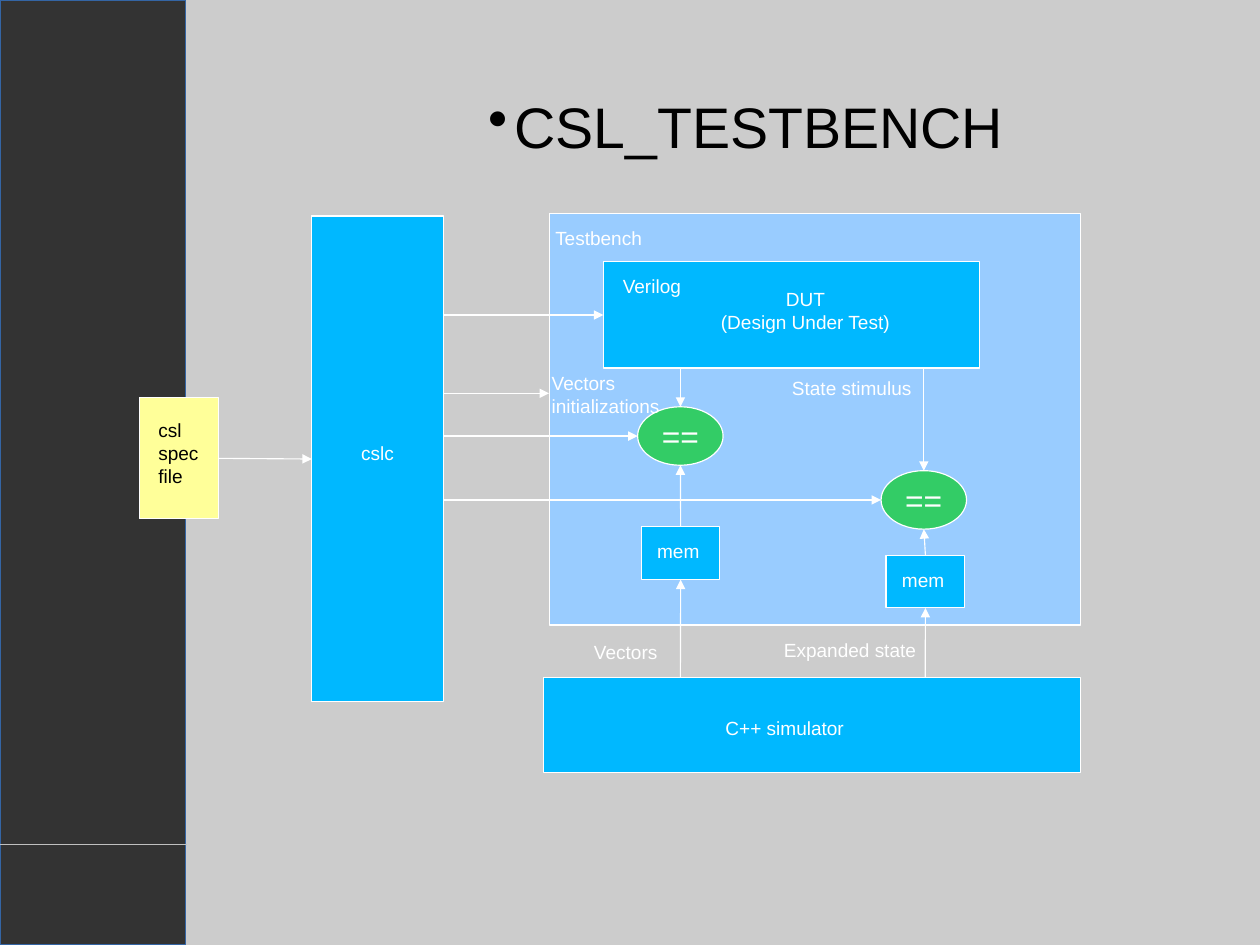
from dataclasses import dataclass

from lxml.etree import SubElement
from pptx import Presentation
from pptx.dml.color import RGBColor
from pptx.enum.shapes import MSO_CONNECTOR, MSO_SHAPE
from pptx.enum.text import MSO_ANCHOR, PP_ALIGN
from pptx.oxml.ns import qn
from pptx.util import Cm, Pt


@dataclass(frozen=True)
class Theme:
    font: str = "Arial"
    back: str = "CCCCCC"
    side: str = "333333"
    edge: str = "3465A4"
    rule: str = "C0C0C0"
    bench: str = "99CCFF"
    block: str = "00B8FF"
    file: str = "FFFF99"
    check: str = "33CC66"
    white: str = "FFFFFF"
    black: str = "000000"
    small: int = 12
    sign: int = 20
    title: int = 36


theme = Theme()


def write(shape, text, size=theme.small, color=theme.white, align=PP_ALIGN.LEFT,
          anchor=MSO_ANCHOR.TOP, inset=(0.25, 0.13, 0.25, 0.13)):
    frame = shape.text_frame
    frame.word_wrap = True
    frame.vertical_anchor = anchor
    frame.margin_left, frame.margin_top, frame.margin_right, frame.margin_bottom = map(Cm, inset)
    frame.text = text
    for para in frame.paragraphs:
        para.alignment = align
        for run in para.runs:
            run.font.name = theme.font
            run.font.size = Pt(size)
            run.font.color.rgb = RGBColor.from_string(color)


def draw(place, fill, kind=MSO_SHAPE.RECTANGLE, line=theme.white):
    shape = slide.shapes.add_shape(kind, *map(Cm, place))
    shape.shadow.inherit = False
    shape.fill.solid()
    shape.fill.fore_color.rgb = RGBColor.from_string(fill)
    shape.line.color.rgb = RGBColor.from_string(line)
    shape.line.width = Pt(0)
    return shape


deck = Presentation()
deck.slide_width, deck.slide_height = Cm(28), Cm(21)
slide = deck.slides.add_slide(deck.slide_layouts[6])
slide.background.fill.solid()
slide.background.fill.fore_color.rgb = RGBColor.from_string(theme.back)
center = {"align": PP_ALIGN.CENTER, "anchor": MSO_ANCHOR.MIDDLE}

draw((0, 0, 4.12, 21), theme.side, line=theme.edge)

title = slide.shapes.add_textbox(Cm(7.24), Cm(0.97), Cm(18.67), Cm(3.66))
write(title, "CSL_TESTBENCH", size=theme.title, color=theme.black, inset=(0, 0, 0, 0), **center)
props = title.text_frame.paragraphs[0]._p.get_or_add_pPr()
props.set("marL", str(Cm(0.58)))
props.set("indent", str(-Cm(0.58)))
SubElement(props, qn("a:buChar")).set("char", "•")

draw((12.22, 4.75, 11.79, 9.14), theme.bench)
file = draw((3.1, 8.84, 1.75, 2.69), theme.file)
write(file, "csl spec file", color=theme.black, inset=(0.42, 0.46, 0.2, 0.13))
cslc = draw((6.93, 4.8, 2.92, 10.8), theme.block)
write(cslc, "cslc", inset=(0.25, 0, 0.25, 0.27), **center)
sim = draw((12.07, 15.06, 11.94, 2.11), theme.block)
write(sim, "C++ simulator", inset=(0, 0.14, 1.2, 0), **center)
dut = draw((13.41, 5.82, 8.36, 2.36), theme.block)
write(dut, "DUT\n(Design Under Test)", inset=(0.62, 0, 0, 0.2), **center)

for x, y in ((14.17, 9.04), (19.58, 10.46)):
    check = draw((x, y, 1.9, 1.3), theme.check, MSO_SHAPE.OVAL)
    write(check, "==", size=theme.sign, **center)

mems = []
for x, y in ((14.25, 11.71), (19.69, 12.34)):
    mem = draw((x, y, 1.75, 1.17), theme.block)
    write(mem, "mem", inset=(0, 0, 0.1, 0.09), **center)
    mems.append(mem)
left, right = mems

top, west, base, east = range(4)
links = (
    (0, 18.75, 4.16, 18.75, None, None, theme.rule, 0.25),
    (4.85, 10.19, 6.93, 10.2, (file, east), (cslc, west), theme.white, 0.71),
    (9.85, 7, 13.41, 7, None, (dut, west), theme.white, 0.71),
    (9.85, 8.74, 12.2, 8.74, None, None, theme.white, 0.71),
    (9.85, 9.69, 14.17, 9.69, None, None, theme.white, 0.71),
    (9.85, 11.11, 19.58, 11.11, None, None, theme.white, 0.71),
    (15.12, 8.18, 15.12, 9.04, None, None, theme.white, 0.71),
    (20.53, 8.18, 20.53, 10.46, None, None, theme.white, 0.71),
    (15.12, 11.71, 15.12, 10.34, (left, top), None, theme.white, 0.71),
    (20.56, 12.34, 20.53, 11.76, (right, top), None, theme.white, 0.71),
    (15.12, 15.06, 15.12, 12.88, None, (left, base), theme.white, 0.71),
    (20.56, 15.06, 20.56, 13.51, None, (right, base), theme.white, 0.71),
)
for *ends, start, stop, color, width in links:
    link = slide.shapes.add_connector(MSO_CONNECTOR.STRAIGHT, *map(Cm, ends))
    if start:
        link.begin_connect(*start)
    if stop:
        link.end_connect(*stop)
    link.line.color.rgb = RGBColor.from_string(color)
    link.line.width = Pt(width)
    props = link.element.spPr
    if color != theme.rule:
        SubElement(props.find(qn("a:ln")), qn("a:tailEnd")).set("type", "triangle")
    SubElement(props, qn("a:effectLst"))

labels = (
    ("Verilog", 13.59, 5.97, 2.03, 1.02),
    ("Testbench", 12.09, 4.9, 2.69, 1.55),
    ("Vectors initializations", 12.01, 8.13, 3.3, 2.16),
    ("Vectors", 12.95, 14.1, 2.29, 1.55),
    ("State stimulus", 17.35, 8.23, 3.3, 1.55),
    ("Expanded state", 17.17, 14.07, 3.68, 1.55),
)
for text, *place in labels:
    write(slide.shapes.add_textbox(*map(Cm, place)), text)

deck.save("out.pptx")
